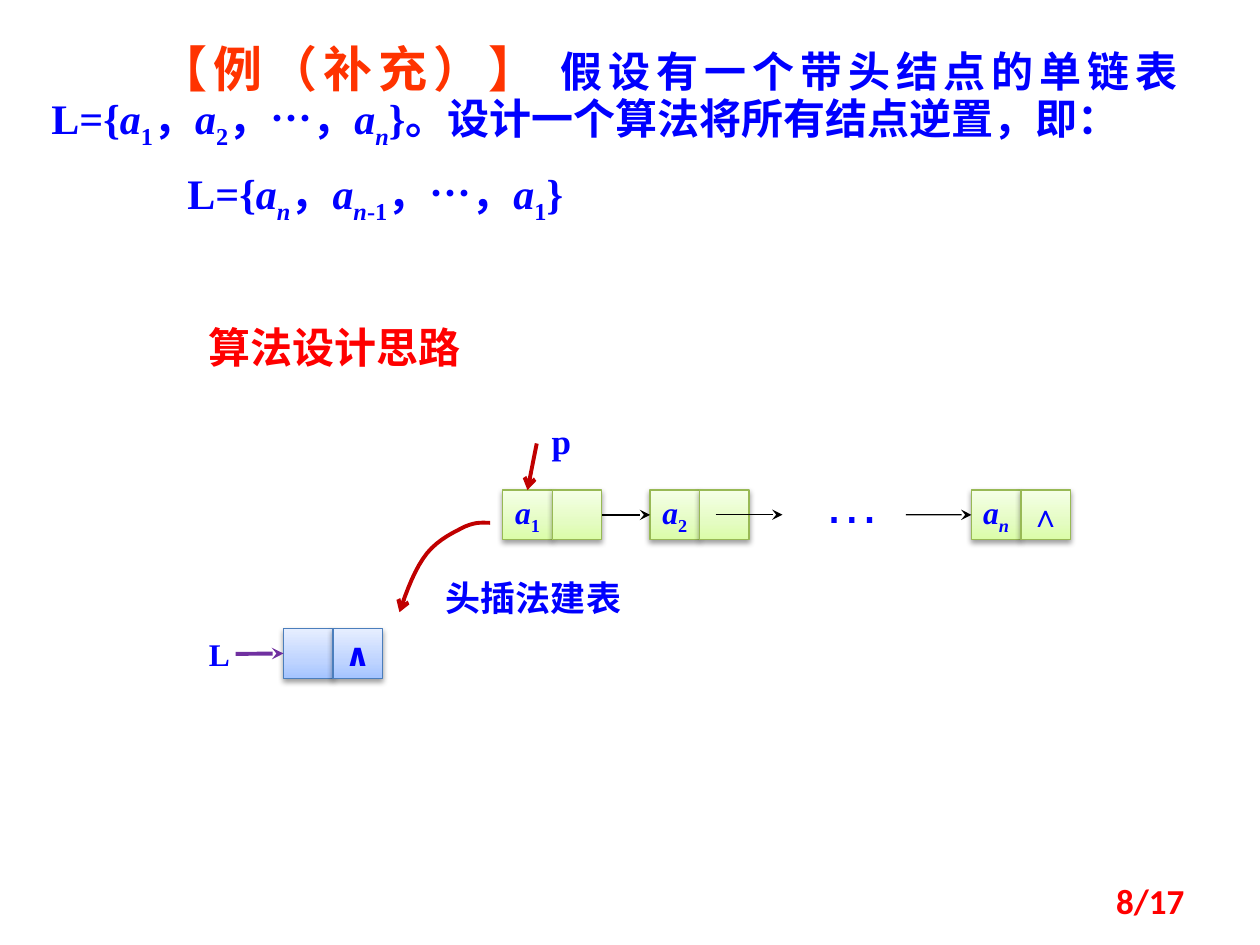
from copy import deepcopy
from lxml.etree import SubElement
from pptx import Presentation
from pptx.dml.color import RGBColor
from pptx.enum.shapes import MSO_CONNECTOR, MSO_SHAPE
from pptx.enum.text import MSO_ANCHOR, PP_ALIGN
from pptx.oxml.ns import qn
from pptx.util import Inches, Pt

BLUE = RGBColor(0x00, 0x00, 0xFF)
RED = RGBColor(0xFF, 0x00, 0x00)
ORANGE = RGBColor(0xFF, 0x33, 0x00)
DARK_RED = RGBColor(0xC0, 0x00, 0x00)
PURPLE = RGBColor(0x70, 0x30, 0xA0)
BLACK = RGBColor(0x00, 0x00, 0x00)
HEAD_LINE = RGBColor(0x4B, 0x7E, 0xBC)
HEAD_FILL = [RGBColor(0xA4, 0xC4, 0xFF), RGBColor(0xBF, 0xD4, 0xFF), RGBColor(0xE6, 0xEE, 0xFF)]
NODE_LINE = RGBColor(0x98, 0xB9, 0x55)
NODE_FILL = [RGBColor(0xDA, 0xFD, 0xA7), RGBColor(0xE4, 0xFC, 0xC2), RGBColor(0xF5, 0xFF, 0xE7)]
SERIF, CJK = "Times New Roman", "Noto Sans CJK SC"

prs = Presentation()
prs.slide_width, prs.slide_height = Inches(10), Inches(7.5)
s = prs.slides.add_slide(prs.slide_layouts[6])
COL, ROW = prs.slide_width / 100, prs.slide_height / 75
CELL = 3.93


def write(p, runs, font, size, color, align, bold=True, ea=None):
    p.alignment = align
    p.font.name, p.font.size, p.font.bold = font, Pt(size), bold
    p.font.color.rgb = color
    SubElement(p._p.pPr.find(qn("a:defRPr")), qn("a:ea"), typeface=ea or font)
    for text, style in runs:
        r = p.add_run()
        r.text = text
        if "i" in style:
            r.font.italic = True
        if "s" in style:
            r._r.get_or_add_rPr().set("baseline", "-25000")
        if "h" in style:
            r.font.size, r.font.color.rgb = Pt(28), ORANGE


def finish_line(sp, color, width, tail):
    sp.line.color.rgb, sp.line.width = color, Pt(width)
    SubElement(sp.line._get_or_add_ln(), qn("a:tailEnd"), type=tail)
    SubElement(sp._element.spPr, qn("a:effectLst"))


tf = s.shapes.add_textbox(int(3.1 * COL), int(3.1 * ROW), int(91.4 * COL), int(15.5 * ROW)).text_frame
tf.word_wrap = True
problem = [("【例（补充）】 ", "h"), ("假设有一个带头结点的单链表L={", ""),
           ("a", "i"), ("1", "s"), ("，", ""), ("a", "i"), ("2", "s"), ("，…，", ""),
           ("a", "i"), ("n", "is"), ("}。设计一个算法将所有结点逆置，即：", "")]
result = [("L={", ""), ("a", "i"), ("n", "is"), ("，", ""), ("a", "i"), ("n", "is"),
          ("-1", "s"), ("，…，", ""), ("a", "i"), ("1", "s"), ("}", "")]
for p, runs, indent in [(tf.paragraphs[0], problem, 8.5), (tf.add_paragraph(), result, 10.8)]:
    p._p.get_or_add_pPr().set("indent", str(int(indent * COL)))
    write(p, runs, SERIF, 24, BLUE, PP_ALIGN.JUSTIFY, ea=CJK)
tf.paragraphs[0].line_spacing = Pt(30)
tf.paragraphs[1].space_before = Pt(10)

cells = {}
for name, x, y, stops, edge, data, link, link_font in [
    ("head", 22.5, 49.9, HEAD_FILL, HEAD_LINE, [], "∧", "DejaVu Sans"),
    ("a1", 39.9, 38.9, NODE_FILL, NODE_LINE, [("a", "i"), ("1", "s")], "", SERIF),
    ("a2", 51.6, 38.9, NODE_FILL, NODE_LINE, [("a", "i"), ("2", "s")], "", SERIF),
    ("an", 77.1, 38.9, NODE_FILL, NODE_LINE, [("a", "i"), ("n", "is")], "∧", SERIF),
]:
    link_runs = [(link, "")] if link else []
    for i, (runs, font) in enumerate([(data, SERIF), (link_runs, link_font)]):
        sp = s.shapes.add_shape(MSO_SHAPE.RECTANGLE, int((x + i * CELL) * COL), int(y * ROW),
                                int(CELL * COL), int(CELL * ROW))
        sp.fill.gradient()
        sp.fill.gradient_angle = 90
        gs = sp._element.spPr.find(".//" + qn("a:gs"))
        gs.addnext(deepcopy(gs))
        for stop, color, position in zip(sp.fill.gradient_stops, stops, (0, 0.35, 1)):
            stop.color.rgb, stop.position = color, position
        sp.line.color.rgb, sp.line.width = edge, Pt(0.75)
        sp.shadow.inherit = False
        shadow = SubElement(sp._element.spPr.find(qn("a:effectLst")), qn("a:outerShdw"),
                            blurRad="40000", dist="20000", dir="5400000", rotWithShape="0")
        black = SubElement(shadow, qn("a:srgbClr"), val="000000")
        SubElement(black, qn("a:alpha"), val="38000")
        cells[name, i] = sp
        if runs:
            tf = sp.text_frame
            tf.word_wrap, tf.vertical_anchor = False, MSO_ANCHOR.MIDDLE
            write(tf.paragraphs[0], runs, font, 18, BLUE, PP_ALIGN.CENTER)

for x1, y1, x2, y2, source, target, side, color, width, tail in [
    (18.7, 51.9, 22.5, 51.9, None, ("head", 0), 1, PURPLE, 2.25, "stealth"),
    (47.8, 40.8, 51.6, 40.8, ("a1", 1), ("a2", 0), 1, BLACK, 0.75, "stealth"),
    (56.8, 40.85, 62.1, 40.85, None, None, 1, BLACK, 0.75, "stealth"),
    (71.9, 40.85, 77.1, 40.85, None, ("an", 0), 1, BLACK, 0.75, "stealth"),
    (42.6, 35.2, 41.9, 38.9, None, ("a1", 0), 0, DARK_RED, 2.25, "arrow"),
]:
    sp = s.shapes.add_connector(MSO_CONNECTOR.STRAIGHT, int(x1 * COL), int(y1 * ROW),
                                int(x2 * COL), int(y2 * ROW))
    if source:
        sp.begin_connect(cells[source], 3)
    if target:
        sp.end_connect(cells[target], side)
    finish_line(sp, color, width, tail)

curve = [(38.9, 41.5), (38.3, 41.5), (37.8, 41.4), (36.9, 41.8), (36.1, 42.2),
         (34.8, 42.8), (33.9, 43.9), (33, 45), (32.3, 46.8), (31.7, 48.6)]
STEPS = 8
points = []
for k in range(0, len(curve) - 1, 3):
    for n in range(1, STEPS + 1):
        t = n / STEPS
        weights = ((1 - t) ** 3, 3 * t * (1 - t) ** 2, 3 * t * t * (1 - t), t ** 3)
        x, y = (sum(w * pt[axis] for w, pt in zip(weights, curve[k:k + 4])) for axis in (0, 1))
        points.append((int(x * COL), int(y * ROW)))
fb = s.shapes.build_freeform(int(curve[0][0] * COL), int(curve[0][1] * ROW))
fb.add_line_segments(points, close=False)
sp = fb.convert_to_shape()
sp.fill.background()
finish_line(sp, DARK_RED, 2.25, "arrow")

for text, x, y, w, h, font, size, color, align, bold in [
    ("L", 15.6, 49.9, 2.9, 4, SERIF, 18, BLUE, PP_ALIGN.LEFT, True),
    ("…", 64.4, 36.6, 7.9, 6.3, "Arial", 32, BLUE, PP_ALIGN.LEFT, False),
    ("算法设计思路", 15.6, 25, 30.7, 5, CJK, 24, RED, PP_ALIGN.LEFT, True),
    ("p", 41.8, 32.8, 5.5, 4.4, SERIF, 20, BLUE, PP_ALIGN.CENTER, True),
    ("头插法建表", 34.4, 45.3, 20.5, 4.3, CJK, 20, BLUE, PP_ALIGN.LEFT, True),
    ("8/17", 71.7, 69.5, 23.3, 4, "Calibri", 20, RED, PP_ALIGN.RIGHT, True),
]:
    tf = s.shapes.add_textbox(int(x * COL), int(y * ROW), int(w * COL), int(h * ROW)).text_frame
    tf.word_wrap = True
    write(tf.paragraphs[0], [(text, "")], font, size, color, align, bold)
tf.vertical_anchor = MSO_ANCHOR.MIDDLE

prs.save("out.pptx")
